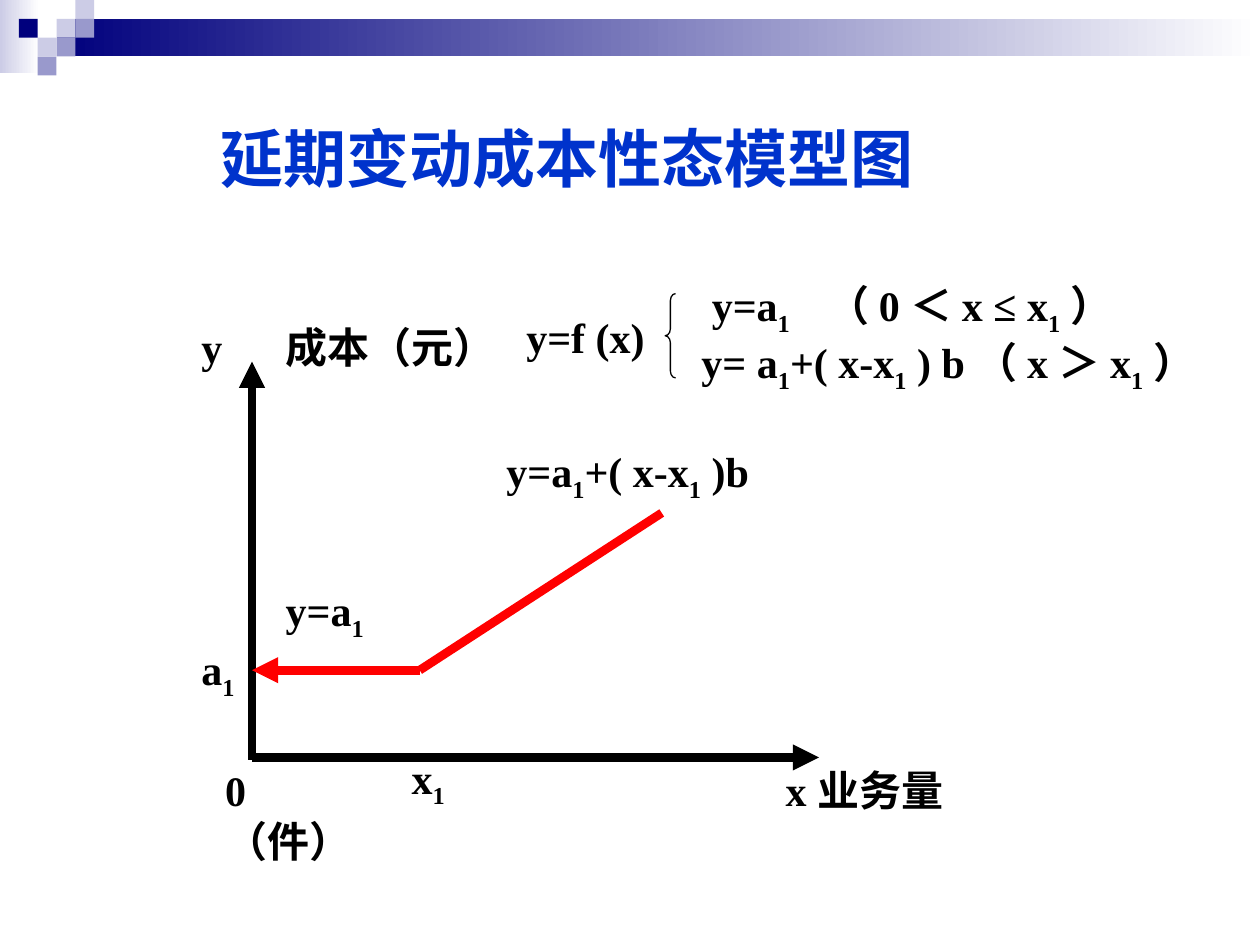
from dataclasses import dataclass

from lxml import etree
from pptx import Presentation
from pptx.dml.color import RGBColor
from pptx.enum.shapes import MSO_CONNECTOR, MSO_SHAPE
from pptx.enum.text import MSO_ANCHOR, MSO_AUTO_SIZE, PP_ALIGN
from pptx.oxml.ns import qn
from pptx.util import Cm, Pt

RECT, BRACE = MSO_SHAPE.RECTANGLE, MSO_SHAPE.LEFT_BRACE
STRAIGHT = MSO_CONNECTOR.STRAIGHT
LEFT, MIDDLE, NO_FIT = PP_ALIGN.LEFT, MSO_ANCHOR.MIDDLE, MSO_AUTO_SIZE.NONE


@dataclass(frozen=True)
class Theme:
    navy: str = "00007D"
    mid: str = "9999CC"
    light: str = "CCCCE6"
    white: str = "FFFFFF"
    title: str = "0033CC"
    ink: str = "000000"
    curve: str = "FF0000"
    latin: str = "Times New Roman"
    cjk: str = "Noto Sans CJK SC"
    title_size: int = 36
    label_size: int = 24
    line_width: float = 5
    brace_width: float = 0.75


THEME = Theme()


def rgb(value):
    return RGBColor.from_string(value)


def style(p, font, size, color):
    p.font.name = font
    p.font.size = Pt(size)
    p.font.bold = True
    p.font.color.rgb = rgb(color)
    def_rpr = p._p.pPr.find(qn("a:defRPr"))
    etree.SubElement(def_rpr, qn("a:ea"), typeface=THEME.cjk)


def add_tab(p, position):
    tabs = etree.SubElement(p._p.get_or_add_pPr(), qn("a:tabLst"))
    etree.SubElement(tabs, qn("a:tab"), pos=str(Cm(position)), algn="l")


def add_run(p, text, subscript=False):
    if text:
        r = p.add_run()
        r.text = text
        if subscript:
            r._r.get_or_add_rPr().set("baseline", "-25000")


def add_math(p, text):
    """Write text in which the character after each underscore is a subscript."""
    first, *rest = text.split("_")
    add_run(p, first)
    for part in rest:
        add_run(p, part[0], subscript=True)
        add_run(p, part[1:])


def add_label(s, x, y, w, h, *lines, tab=None, indent=0):
    tf = s.shapes.add_textbox(Cm(x), Cm(y), Cm(w), Cm(h)).text_frame
    tf.word_wrap = True
    for i, line in enumerate(lines):
        p = tf.paragraphs[0] if i == 0 else tf.add_paragraph()
        if indent and i == 0:
            p._p.get_or_add_pPr().set("indent", str(Cm(indent)))
        if tab:
            add_tab(p, tab)
        style(p, THEME.latin, THEME.label_size, THEME.ink)
        add_math(p, line)


def add_rect(s, x, y, w, h, *colors):
    sp = s.shapes.add_shape(RECT, Cm(x), Cm(y), Cm(w), Cm(h))
    sp.shadow.inherit = False
    sp.line.fill.background()
    if len(colors) == 1:
        sp.fill.solid()
        sp.fill.fore_color.rgb = rgb(colors[0])
    else:
        sp.fill.gradient()
        sp.fill.gradient_angle = 0
        for stop, color in zip(sp.fill.gradient_stops, colors):
            stop.color.rgb = rgb(color)


def add_line(s, start, end, color, arrow=False):
    points = [Cm(v) for v in (*start, *end)]
    line = s.shapes.add_connector(STRAIGHT, *points)
    line.line.color.rgb = rgb(color)
    line.line.width = Pt(THEME.line_width)
    sp_pr = line._element.spPr
    if arrow:
        etree.SubElement(sp_pr.find(qn("a:ln")), qn("a:tailEnd"), type="triangle")
    etree.SubElement(sp_pr, qn("a:effectLst"))


def add_brace(s, x, y, w, h):
    sp = s.shapes.add_shape(BRACE, Cm(x), Cm(y), Cm(w), Cm(h))
    sp.shadow.inherit = False
    sp.adjustments[0] = 0.67
    sp.fill.background()
    sp.line.color.rgb = rgb(THEME.ink)
    sp.line.width = Pt(THEME.brace_width)


def add_header(s):
    add_rect(s, 0, 0, 0.79, 1.47, THEME.light, THEME.white)
    add_rect(s, 1.14, 0.38, 24.26, 0.76, THEME.navy, THEME.white)
    # Checkered squares: column, row, colour
    side, left = 0.38, 0.76
    squares = [
        (1, 1, THEME.light), (2, 0, THEME.light), (2, 1, THEME.mid),
        (0, 2, THEME.light), (-1, 1, THEME.navy), (1, 2, THEME.mid),
        (0, 3, THEME.mid),
    ]
    for col, row, color in squares:
        add_rect(s, left + col * side, row * side, side, side, color)


def add_title(s, text):
    sp = s.shapes.title
    sp.left, sp.top, sp.width, sp.height = Cm(4.19), Cm(1.27), Cm(17.5), Cm(3.81)
    tf = sp.text_frame
    tf.auto_size = NO_FIT
    tf.vertical_anchor = MIDDLE
    p = tf.paragraphs[0]
    p.alignment = LEFT
    style(p, THEME.cjk, THEME.title_size, THEME.title)
    add_run(p, text)


def add_graph(s):
    # Axes
    x0, y0 = 5.08, 15.27
    add_line(s, (x0, y0), (16.51, y0), THEME.ink, arrow=True)
    add_line(s, (x0, 15.32), (x0, 7.29), THEME.ink, arrow=True)
    # Cost curve: flat part, then rising part
    bend = (8.46, 13.51)
    add_line(s, bend, (x0, bend[1]), THEME.curve, arrow=True)
    add_line(s, bend, (13.34, 10.34), THEME.curve)
    # Axis labels
    add_label(s, 3.81, 6.35, 7.19, 1.27, "y\t成本（元）", tab=1.7)
    add_label(s, 4.29, 15.29, 17.6, 3.33, "0\tx 业务量", "（件）", tab=11.3)
    add_label(s, 3.81, 12.85, 1.27, 1.42, "a_1")
    add_label(s, 8.05, 15.04, 1.27, 1.42, "x_1")
    # Curve labels
    add_label(s, 5.51, 11.66, 2.74, 1.42, "y=a_1")
    add_label(s, 9.96, 8.86, 6.78, 1.42, "y=a_1+( x-x_1 )b")


def add_formula(s):
    add_label(s, 10.36, 6.15, 3.81, 1.27, "y=f (x)")
    add_brace(s, 13.41, 5.92, 0.21, 1.7)
    add_label(s, 13.89, 5.51, 10.8, 3.73,
              "y=a_1\t（ 0 ＜ x ≤ x_1 ）",
              "y= a_1+( x-x_1 ) b （ x ＞ x_1 ）",
              tab=2.25, indent=0.21)


def main():
    prs = Presentation()
    prs.slide_width, prs.slide_height = Cm(25.4), Cm(19.05)
    s = prs.slides.add_slide(prs.slide_layouts[5])
    add_header(s)
    add_title(s, "延期变动成本性态模型图")
    add_graph(s)
    add_formula(s)
    prs.save("out.pptx")


if __name__ == "__main__":
    main()
